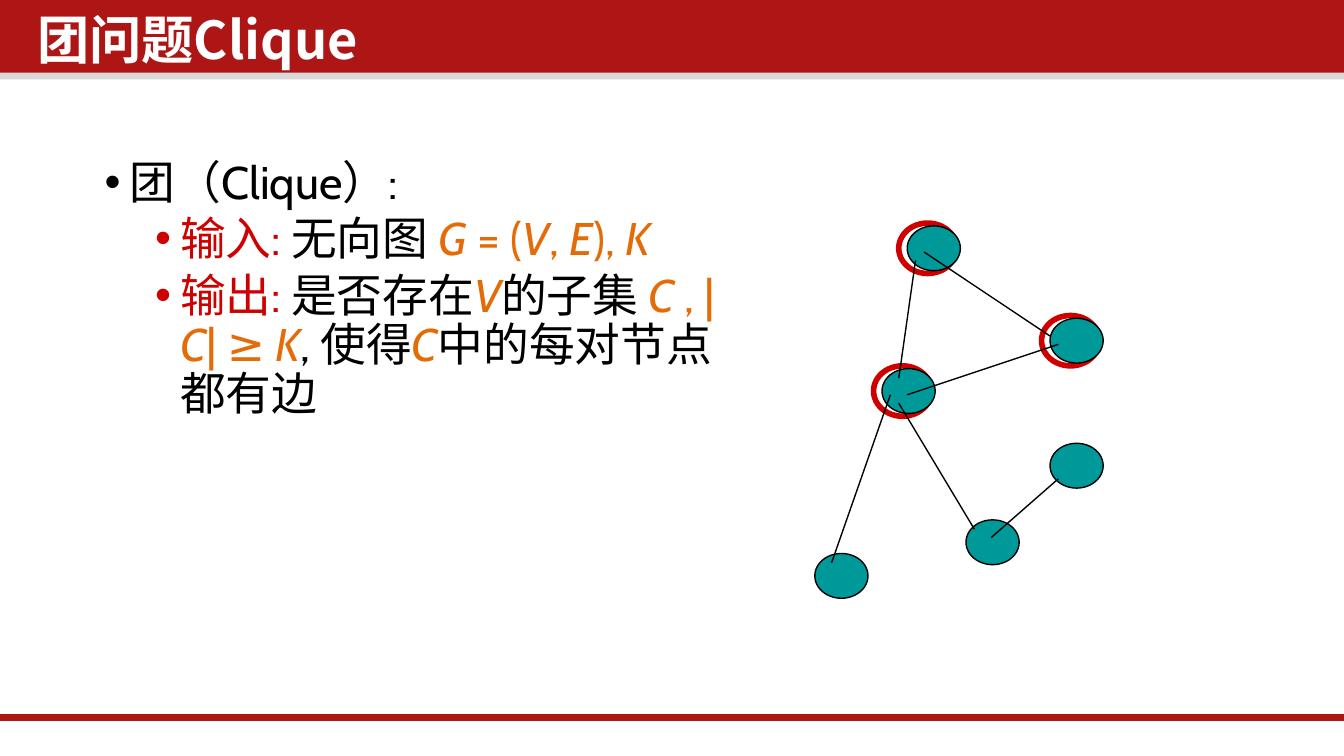
from lxml import etree
from pptx import Presentation
from pptx.dml.color import RGBColor
from pptx.enum.shapes import MSO_CONNECTOR, MSO_SHAPE
from pptx.oxml.ns import qn
from pptx.util import Pt

RECTANGLE = MSO_SHAPE.RECTANGLE
OVAL = MSO_SHAPE.OVAL
STRAIGHT = MSO_CONNECTOR.STRAIGHT

WIDTH, HEIGHT = 720, 405
CJK_FONT, LATIN_FONT = "Noto Sans CJK SC", "Cabin"
RED, GRAY, WHITE, BLACK = "AE1616", "D9D9D9", "FFFFFF", "000000"
BRIGHT_RED, ORANGE, TEAL = "CE0000", "E36C09", "009999"

TITLE = "团问题Clique"
BODY = [
    (0, [("团（Clique）:", BLACK, False)]),
    (1, [
        ("输入: ", BRIGHT_RED, False), ("无向图 ", BLACK, False),
        ("G", ORANGE, True), (" = (", ORANGE, False),
        ("V", ORANGE, True), (", ", ORANGE, False),
        ("E", ORANGE, True), ("), ", ORANGE, False), ("K", ORANGE, True),
    ]),
    (1, [
        ("输出: ", BRIGHT_RED, False), ("是否存在", BLACK, False),
        ("V", ORANGE, True), ("的子集 ", BLACK, False),
        ("C ", ORANGE, True), (", |", ORANGE, False),
        ("C", ORANGE, True), ("| ≥ ", ORANGE, False),
        ("K", ORANGE, True), (", 使得", BLACK, False),
        ("C", ORANGE, True), ("中的每对节点都有边", BLACK, False),
    ]),
]

NODE_SIZE = (28.5, 24)
RING_SIZE = (31, 27)
RING_OFFSET = (-4.5, -1.5)
CLIQUE_NODES = [(49.5, 1.5), (126, 51), (36, 78)]
OTHER_NODES = [(126, 118), (81, 159), (0, 177)]
EDGES = [
    ((54, 20), (45, 83)),
    ((58.5, 15.5), (126, 60.5)),
    ((49.5, 92), (130.5, 65)),
    ((45, 96.5), (85.5, 164)),
    ((130.5, 137), (94.5, 168.5)),
    ((40.5, 92), (9, 182)),
]


def color(value):
    return RGBColor.from_string(value)


def add_shape(slide, kind, box, fill=None, line=None, line_width=0.75):
    shape = slide.shapes.add_shape(kind, *map(Pt, box))
    shape.shadow.inherit = False
    if fill:
        shape.fill.solid()
        shape.fill.fore_color.rgb = color(fill)
    else:
        shape.fill.background()
    if line:
        shape.line.color.rgb = color(line)
        shape.line.width = Pt(line_width)
    else:
        shape.line.fill.background()


def add_line(slide, start, end, line, line_width=0.75):
    connector = slide.shapes.add_connector(STRAIGHT, *map(Pt, (*start, *end)))
    connector.line.color.rgb = color(line)
    connector.line.width = Pt(line_width)
    etree.SubElement(connector._element.spPr, qn("a:effectLst"))


def add_text_box(slide, box):
    frame = slide.shapes.add_textbox(*map(Pt, box)).text_frame
    frame.word_wrap = True
    return frame


def add_run(paragraph, text, size, font, fill, bold=False, italic=False):
    run = paragraph.add_run()
    run.text = text
    run.font.size = Pt(size)
    run.font.name = font
    run.font.bold = bold
    run.font.italic = italic
    run.font.color.rgb = color(fill)
    east_asian = etree.Element(qn("a:ea"), typeface=CJK_FONT)
    run.font._element.find(qn("a:latin")).addnext(east_asian)


def set_spacing(paragraph, before):
    paragraph.line_spacing = 0.9
    paragraph.space_before = Pt(before)


def add_bullet(paragraph, level):
    paragraph.level = level
    properties = paragraph._p.get_or_add_pPr()
    properties.set("marL", str(Pt(13.5 + 27 * level)))
    properties.set("indent", str(Pt(-13.5)))
    etree.SubElement(properties, qn("a:buFont"), typeface="Arial")
    etree.SubElement(properties, qn("a:buChar"), char="•")


def add_header(slide, left, top, width, height):
    add_shape(slide, RECTANGLE, (left, top + height - 3, width, 6.5), GRAY)
    add_shape(slide, RECTANGLE, (left, top, width, height), RED)
    frame = add_text_box(slide, (left + 15, top + 4.5, 550, 42.5))
    frame.margin_left = frame.margin_right = Pt(5)
    frame.margin_top = frame.margin_bottom = Pt(3)
    paragraph = frame.paragraphs[0]
    set_spacing(paragraph, 7.5)
    add_run(paragraph, TITLE, 28, CJK_FONT, WHITE, bold=True)


def add_body(slide, *box):
    frame = add_text_box(slide, box)
    for index, (level, runs) in enumerate(BODY):
        paragraph = frame.add_paragraph() if index else frame.paragraphs[0]
        set_spacing(paragraph, 3.8 if level else 7.5)
        add_bullet(paragraph, level)
        for text, fill, italic in runs:
            add_run(paragraph, text, 24.5, LATIN_FONT, fill, italic=italic)


def add_graph(slide, left, top):
    def place(point):
        return left + point[0], top + point[1]

    for node in CLIQUE_NODES:
        x, y = place(node)
        ring = (x + RING_OFFSET[0], y + RING_OFFSET[1], *RING_SIZE)
        add_shape(slide, OVAL, ring, line=BRIGHT_RED, line_width=3)
    for node in CLIQUE_NODES + OTHER_NODES:
        add_shape(slide, OVAL, (*place(node), *NODE_SIZE), TEAL, BLACK)
    for start, end in EDGES:
        add_line(slide, place(start), place(end), BLACK)


def main():
    presentation = Presentation()
    presentation.slide_width = Pt(WIDTH)
    presentation.slide_height = Pt(HEIGHT)
    slide = presentation.slides.add_slide(presentation.slide_layouts[6])
    add_header(slide, 0, 0, WIDTH, 39)
    add_line(slide, (0, 384.5), (WIDTH, 384.5), RED, 4)
    add_body(slide, 49, 82, 353.5, 250)
    add_graph(slide, 436.5, 119.5)
    presentation.save("out.pptx")


if __name__ == "__main__":
    main()
